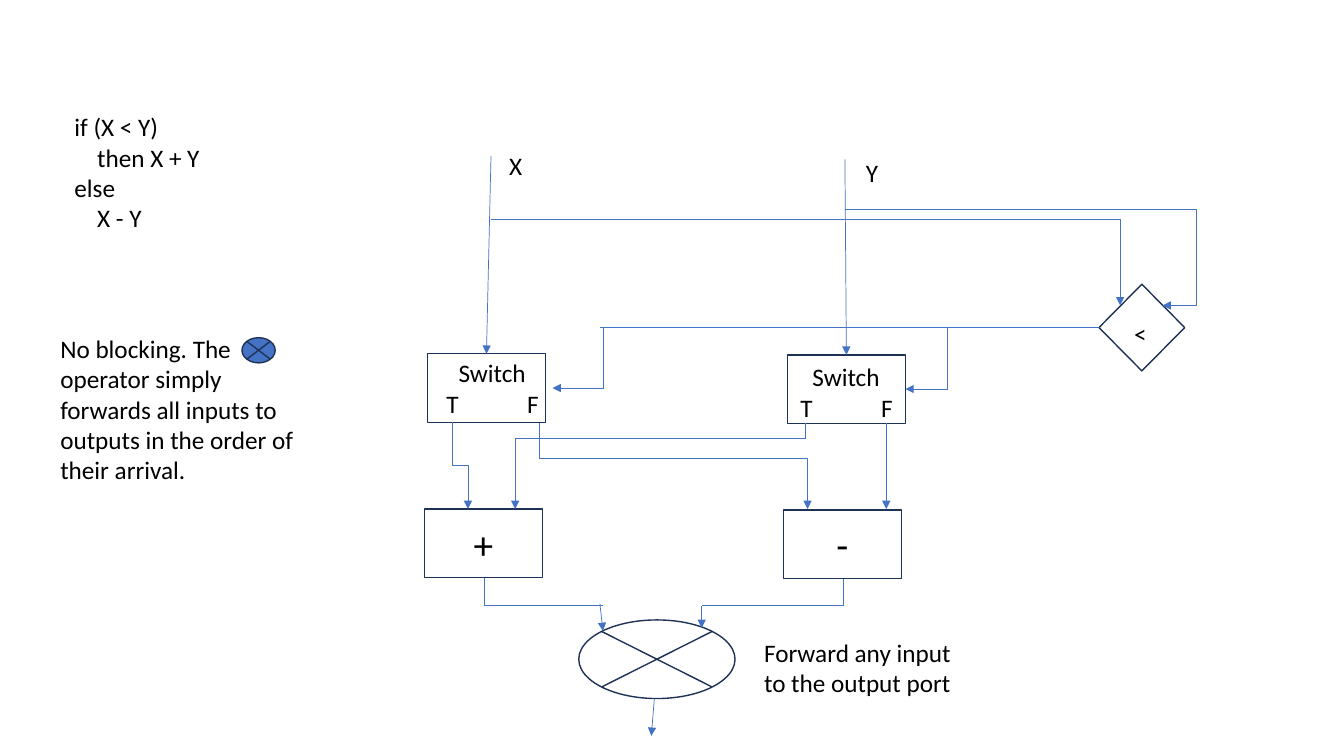
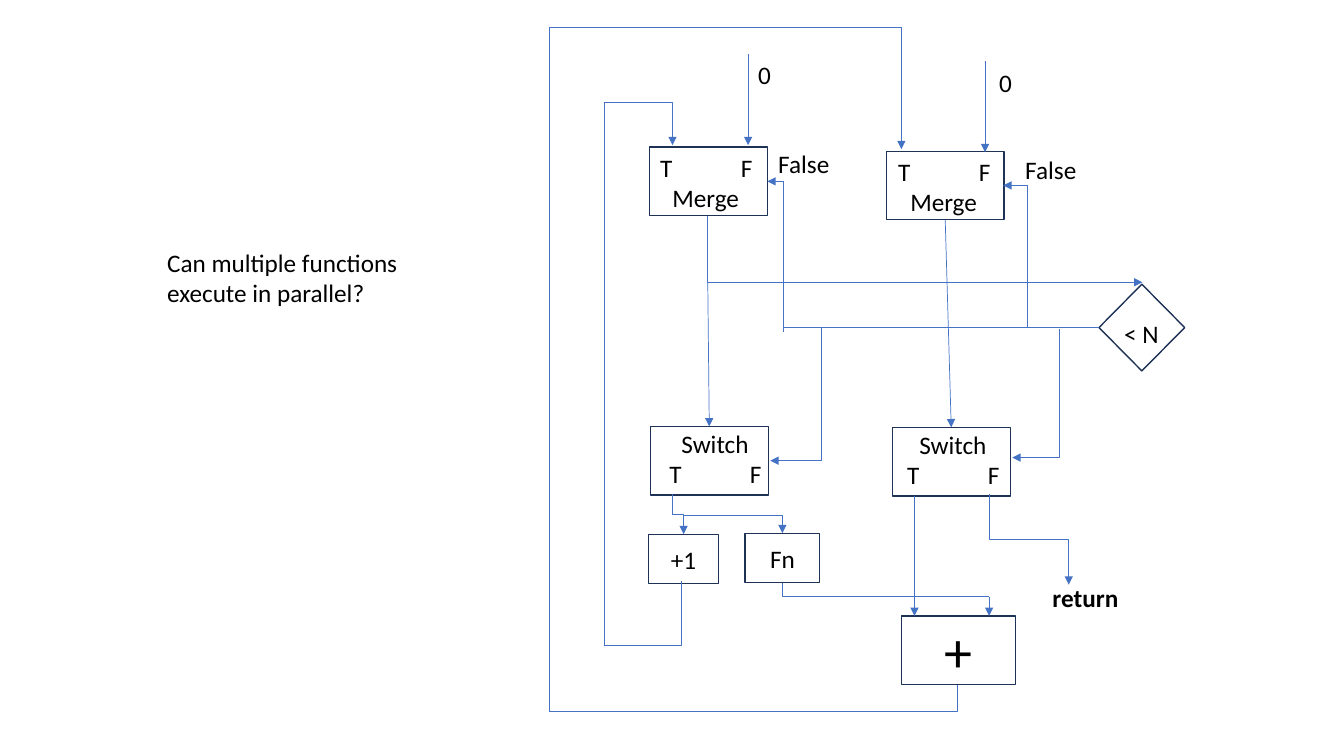
"""Build two dataflow diagrams: a conditional and a loop."""
from lxml.etree import SubElement
from pptx import Presentation
from pptx.dml.color import RGBColor
from pptx.enum.shapes import MSO_CONNECTOR, MSO_SHAPE
from pptx.enum.text import MSO_ANCHOR, PP_ALIGN
from pptx.oxml.ns import qn
from pptx.util import Inches, Pt

BLUE = RGBColor(0x44, 0x72, 0xC4)
NAVY = RGBColor(0x1E, 0x32, 0x56)
BLACK = RGBColor(0, 0, 0)
FONT = "Calibri"
PORTS = "T\tF"
PORT_GAP = 0.8
NAME_INDENT = 0.12
NODE_WIDTH, NODE_HEIGHT = 1.17, 0.68
RECT = MSO_SHAPE.RECTANGLE
JUNCTION = MSO_SHAPE.FLOWCHART_SUMMING_JUNCTION
TEST = (MSO_SHAPE.DIAMOND, 10.9, 2.82, 0.85, 0.86, "", 18)


def write(frame, lines, size=18, bold=False, align=PP_ALIGN.LEFT):
    """Fill a text frame with one paragraph per line."""
    frame.word_wrap = True
    for index, text in enumerate(lines):
        para = frame.paragraphs[0] if index == 0 else frame.add_paragraph()
        para.alignment = align
        properties = para._p.get_or_add_pPr()
        if text == PORTS:
            tabs = SubElement(properties, qn("a:tabLst"))
            SubElement(tabs, qn("a:tab"), pos=str(Inches(PORT_GAP)), algn="l")
        elif PORTS in lines:
            properties.set("marL", str(Inches(NAME_INDENT)))
        span = para.add_run()
        span.text = text
        span.font.name = FONT
        span.font.size = Pt(size)
        span.font.bold = bold
        span.font.color.rgb = BLACK


def link(page, points, arrow):
    """Draw a straight or right-angled connector through the points."""
    (x1, y1), (x2, y2) = points[0], points[-1]
    bent = len(points) > 2
    upright = bent and points[0][0] == points[1][0]
    begin, end, turn = (x1, y1), (x2, y2), 0
    if upright:
        turn = 90 if x2 < x1 and y2 > y1 else 270
        sign = 1 if turn == 90 else -1
        half_x, half_y = sign * (y2 - y1) / 2, sign * (x1 - x2) / 2
        middle_x, middle_y = (x1 + x2) / 2, (y1 + y2) / 2
        begin = middle_x - half_x, middle_y - half_y
        end = middle_x + half_x, middle_y + half_y
    kind = MSO_CONNECTOR.ELBOW if bent else MSO_CONNECTOR.STRAIGHT
    line = page.shapes.add_connector(kind, *[Inches(v) for v in begin + end])
    properties = line._element.spPr
    if turn:
        properties.find(qn("a:xfrm")).set("rot", str(turn * 60000))
    geometry = properties.find(qn("a:prstGeom"))
    if len(points) == 3:
        geometry.set("prst", "bentConnector2")
    if len(points) == 4:
        axis = 1 if upright else 0
        start, stop = points[0][axis], points[-1][axis]
        bend = round((points[1][axis] - start) / (stop - start) * 100000)
        guides = geometry.find(qn("a:avLst"))
        SubElement(guides, qn("a:gd"), name="adj1", fmla=f"val {bend}")
    line.line.color.rgb = BLUE
    line.line.width = Pt(0.5)
    if arrow:
        SubElement(line.line._get_or_add_ln(), qn("a:tailEnd"), type="triangle")
    SubElement(properties, qn("a:effectLst"))
    return line


conditional = {
    "shapes": {
        "switch x": (RECT, 4.24, 3.51, NODE_WIDTH, NODE_HEIGHT, "", 18),
        "switch y": (RECT, 7.81, 3.52, NODE_WIDTH, NODE_HEIGHT, "", 18),
        "add": (RECT, 4.21, 5.05, NODE_WIDTH, NODE_HEIGHT, "+", 28),
        "subtract": (RECT, 7.77, 5.06, NODE_WIDTH, NODE_HEIGHT, "-", 28),
        "test": TEST,
        "forward": (JUNCTION, 5.74, 6.15, 1.55, 0.78, "", 18),
        "symbol": (JUNCTION, 2.4, 3.35, 0.33, 0.25, "", 18),
    },
    "labels": [
        (4.33, 3.5, 1.17, ["Switch", PORTS]),
        (7.84, 3.54, 1.17, ["Switch", PORTS]),
        (11.15, 3.11, 0.6, ["<"]),
        (4.95, 1.44, 0.52, ["X"]),
        (8.49, 1.51, 0.52, ["Y"]),
        (0.64, 1.06, 3.54, ["if (X < Y)", "    then X + Y", "else", "    X - Y"]),
        (7.48, 6.27, 2.29, ["Forward any input to the output port"]),
        (0.5, 3.26, 2.56, ["No blocking. The operator simply forwards all inputs "
                           "to outputs in the order of their arrival."]),
    ],
    "arrows": [
        [(8.38, 2.08), (11.87, 2.08), (11.87, 3.03), (11.53, 3.03)],
        [(4.87, 2.18), (11.11, 2.18), (11.11, 3.03)],
        [(9.4, 3.25), (9.4, 3.86), (8.98, 3.86)],
        [(5.98, 3.25), (5.98, 3.85), (5.48, 3.85)],
        [(4.49, 4.19), (4.49, 4.62), (4.64, 4.62), (4.64, 5.05)],
        [(5.35, 4.55), (8.01, 4.55), (8.01, 5.05)],
        [(7.99, 4.35), (5.11, 4.35), (5.11, 5.05)],
        [(8.79, 4.2), (8.79, 5.05)],
        [(5.95, 5.99), (5.98, 6.26)],
        [(6.96, 6.01), (6.96, 6.23)],
        [(6.49, 6.93), (6.46, 7.3)],
    ],
    "lines": [
        [(5.35, 4.2), (5.35, 4.55)],
        [(7.99, 4.2), (7.99, 4.35)],
        [(4.8, 5.73), (4.8, 6.01), (5.98, 6.01)],
        [(8.36, 5.74), (8.36, 6.01), (6.96, 6.01)],
    ],
    "joined": [
        ([(4.87, 1.55), (4.82, 3.51)], True, None, ("switch x", 0)),
        ([(8.38, 1.58), (8.4, 3.52)], True, None, ("switch y", 0)),
        ([(10.9, 3.25), (5.95, 3.25)], False, ("test", 1), None),
    ],
}

loop = {
    "shapes": {
        "test": TEST,
        "merge index": (RECT, 6.44, 1.46, NODE_WIDTH, NODE_HEIGHT, "", 18),
        "merge sum": (RECT, 8.79, 1.5, NODE_WIDTH, NODE_HEIGHT, "", 18),
        "switch index": (RECT, 6.45, 4.23, NODE_WIDTH, NODE_HEIGHT, "", 18),
        "switch sum": (RECT, 8.85, 4.24, NODE_WIDTH, NODE_HEIGHT, "", 18),
        "increment": (RECT, 6.43, 5.3, 0.7, 0.49, "+1", 18),
        "function": (RECT, 7.39, 5.29, 0.74, 0.49, "Fn", 18),
        "add": (RECT, 8.94, 6.11, 1.13, 0.68, "+", 40),
    },
    "labels": [
        (1.56, 2.4, 2.58, ["Can multiple functions execute in parallel?"]),
        (11.05, 3.11, 0.88, ["< N"]),
        (6.45, 1.46, 1.17, [PORTS, "Merge"]),
        (8.81, 1.5, 1.17, [PORTS, "Merge"]),
        (6.54, 4.2, 1.17, ["Switch", PORTS]),
        (8.9, 4.21, 1.17, ["Switch", PORTS]),
        (9.81, 0.62, 0.79, ["0"]),
        (7.42, 0.54, 0.79, ["0"]),
        (7.62, 1.42, 1.17, ["False"]),
        (10.07, 1.48, 1.17, ["False"]),
        (10.34, 5.73, 1.76, ["return"]),
    ],
    "arrows": [
        [(7.02, 2.14), (7.02, 2.8), (11.33, 2.8)],
        [(7.77, 3.29), (7.77, 1.8), (7.61, 1.8)],
        [(10.19, 3.24), (10.19, 1.84), (9.95, 1.84)],
        [(7.42, 0.54), (7.42, 1.44)],
        [(9.77, 0.61), (9.77, 1.51)],
        [(8.15, 3.25), (8.15, 4.57), (7.64, 4.57)],
        [(10.51, 3.26), (10.51, 4.54), (10.04, 4.54)],
        [(9.07, 4.92), (9.07, 6.11)],
        [(6.67, 4.9), (6.67, 5.1), (6.78, 5.1), (6.78, 5.3)],
        [(6.78, 5.11), (7.76, 5.11), (7.76, 5.29)],
        [(9.81, 5.92), (9.81, 6.11)],
        [(9.81, 4.9), (9.81, 5.35), (10.6, 5.35), (10.6, 5.8)],
        [(5.45, 0.27), (8.94, 0.27), (8.94, 1.48)],
        [(5.99, 1.02), (6.67, 1.02), (6.67, 1.44)],
    ],
    "lines": [
        [(7.76, 5.78), (7.76, 5.92), (9.81, 5.92)],
        [(9.5, 6.8), (9.5, 7.06), (5.45, 7.06)],
        [(5.45, 7.06), (5.45, 0.27)],
        [(6.76, 5.76), (6.76, 6.4), (5.99, 6.4)],
        [(5.99, 6.4), (5.99, 1.02)],
    ],
    "joined": [
        ([(10.9, 3.25), (7.77, 3.25)], False, ("test", 1), None),
        ([(7.02, 2.8), (7.02, 4.23)], True, None, ("switch index", 0)),
        ([(9.39, 2.18), (9.43, 4.24)], True, ("merge sum", 2), ("switch sum", 0)),
    ],
}

deck = Presentation()
deck.slide_width, deck.slide_height = Inches(13.33), Inches(7.5)

for diagram in (conditional, loop):
    page = deck.slides.add_slide(deck.slide_layouts[6])
    shapes = {}
    for name, (kind, left, top, width, height, text, size) in diagram["shapes"].items():
        shape = page.shapes.add_shape(
            kind, Inches(left), Inches(top), Inches(width), Inches(height))
        shape.shadow.inherit = False
        shape.line.color.rgb = NAVY
        shape.line.width = Pt(1)
        if name == "symbol":
            shape.fill.solid()
            shape.fill.fore_color.rgb = BLUE
        else:
            shape.fill.background()
        if text:
            shape.text_frame.vertical_anchor = MSO_ANCHOR.MIDDLE
            write(shape.text_frame, [text], size, align=PP_ALIGN.CENTER)
        shapes[name] = shape

    for left, top, width, lines in diagram["labels"]:
        box = page.shapes.add_textbox(
            Inches(left), Inches(top), Inches(width), Inches(0.1 + 0.3 * len(lines)))
        write(box.text_frame, lines, bold=lines == ["return"])

    for points in diagram["arrows"]:
        link(page, points, True)
    for points in diagram["lines"]:
        link(page, points, False)
    for points, arrow, source, target in diagram["joined"]:
        line = link(page, points, arrow)
        if source:
            line.begin_connect(shapes[source[0]], source[1])
        if target:
            line.end_connect(shapes[target[0]], target[1])

deck.save("out.pptx")
